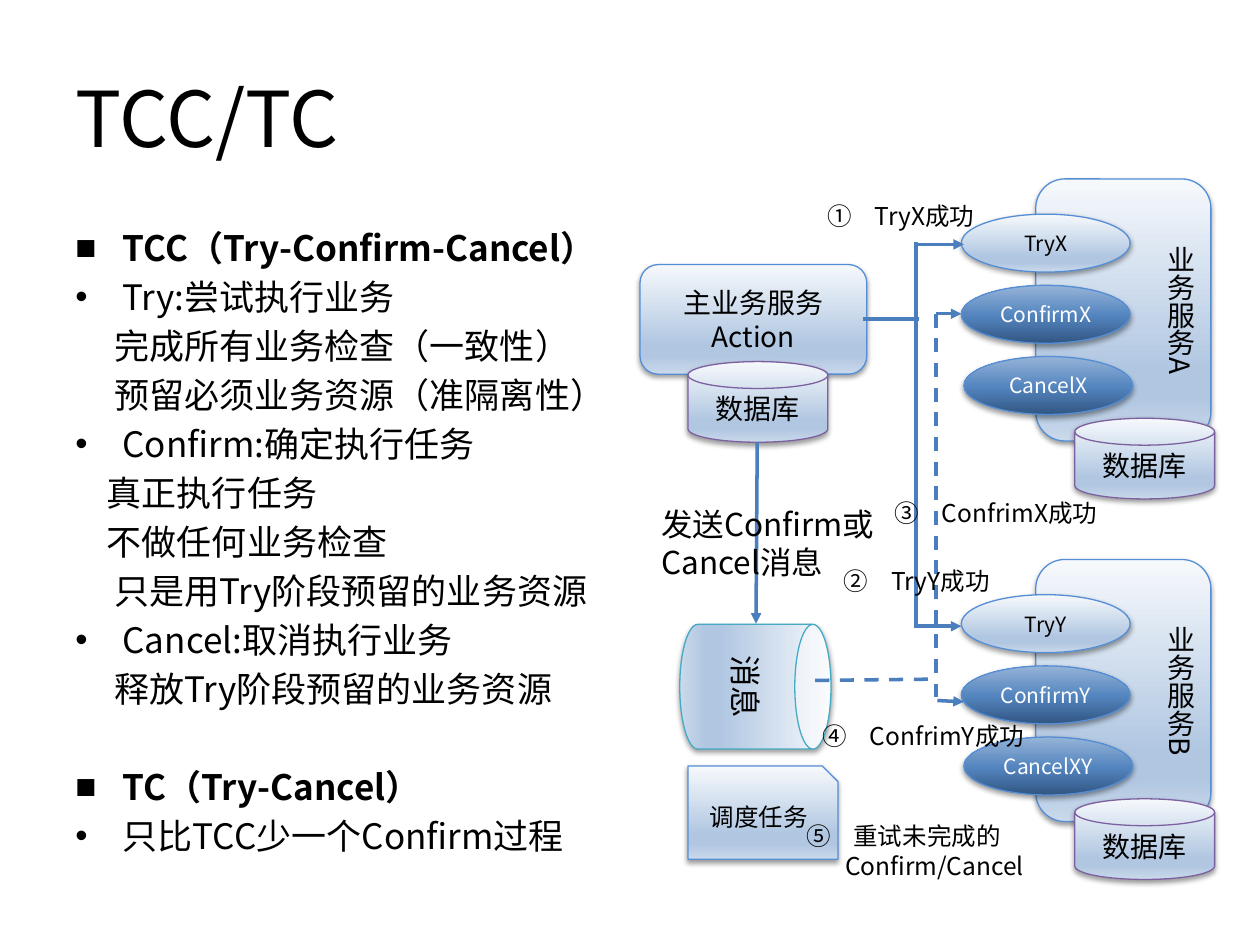
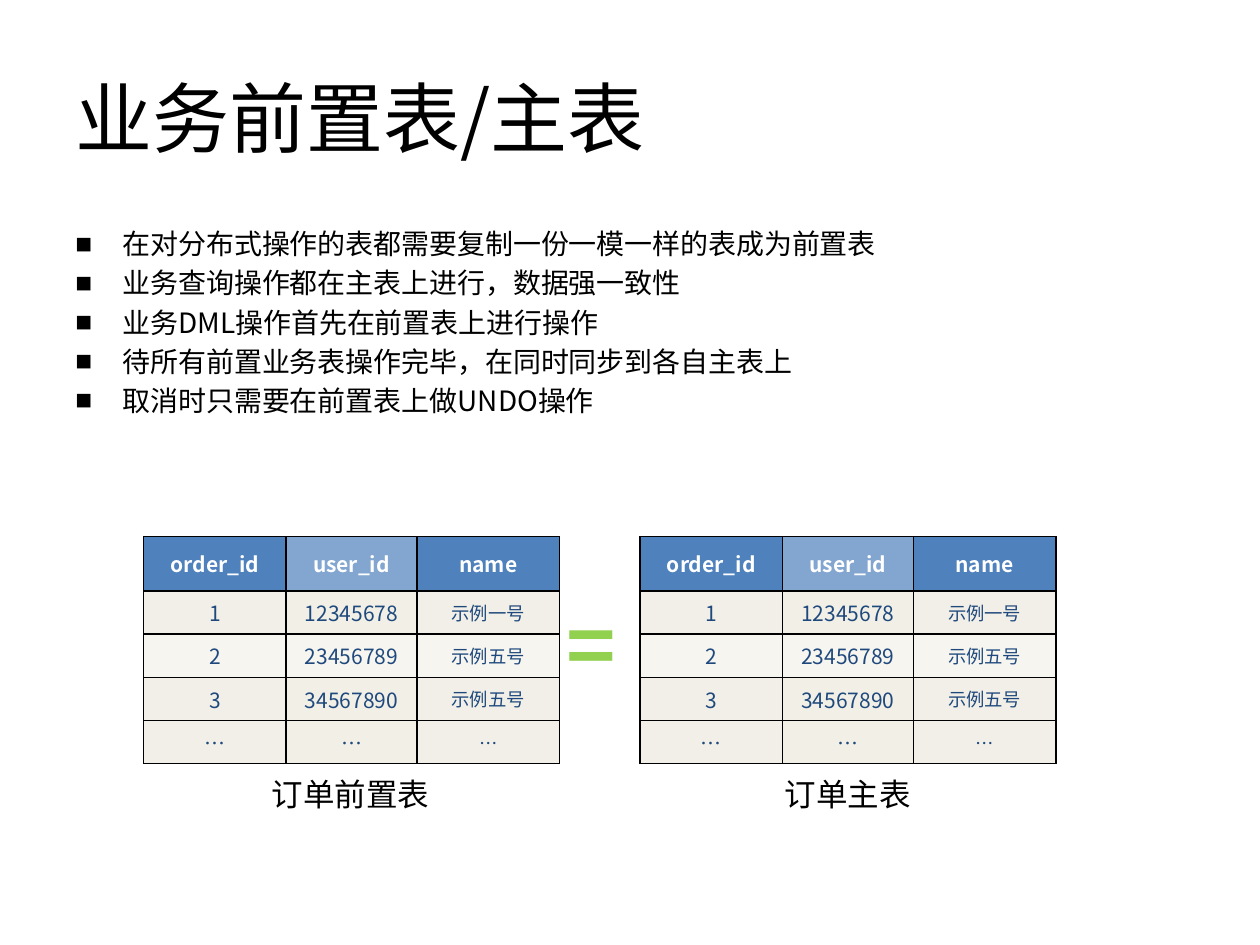
from pptx import Presentation
from pptx.dml.color import RGBColor
from pptx.enum.dml import MSO_LINE
from pptx.enum.shapes import MSO_CONNECTOR, MSO_SHAPE
from pptx.enum.text import MSO_ANCHOR, PP_ALIGN
from pptx.oxml import parse_xml
from pptx.oxml.ns import nsdecls, qn
from pptx.util import Inches, Pt

CENTER = PP_ALIGN.CENTER
MIDDLE = MSO_ANCHOR.MIDDLE
ROUNDED = MSO_SHAPE.ROUNDED_RECTANGLE
ELLIPSE = MSO_SHAPE.OVAL
DISK = MSO_SHAPE.FLOWCHART_MAGNETIC_DISK
CAN = MSO_SHAPE.CAN
SNIPPED = MSO_SHAPE.SNIP_1_RECTANGLE

FONT = "Noto Sans CJK SC"
BLACK, WHITE, NAVY, GREEN = "000000", "FFFFFF", "1F497D", "92D050"
BLUE, PURPLE, TEAL, CONNECTOR_BLUE = "558ED5", "7D60A0", "46AAC5", "4B7EBC"
HEADER_BLUE, CREAM = "4F81BD", "EEECE1"
LIGHT = (90, [(0, "F6F9FC"), (74, "B0C6E1"), (83, "B0C6E1"), (100, "CAD9EB")])
DARK = (270, [(0, "315683"), (48, "5485BF"), (100, "95B3D7")])

COLUMNS = 100
HANGING = 3.75  # columns between a bullet and its text
SQUARE, DOT = "■", "•"

TCC_LINES = [  # text, bullet, left indent in columns
    ("TCC（Try-Confirm-Cancel）", SQUARE, HANGING),
    ("Try:尝试执行业务", DOT, HANGING),
    ("完成所有业务检查（一致性）", None, 3.1),
    ("预留必须业务资源（准隔离性）", None, 3.1),
    ("Confirm:确定执行任务", DOT, HANGING),
    ("真正执行任务", None, 2.5),
    ("不做任何业务检查", None, 2.5),
    ("只是用Try阶段预留的业务资源", None, 3.1),
    ("Cancel:取消执行业务", DOT, HANGING),
    ("释放Try阶段预留的业务资源", None, 3.1),
    ("TC（Try-Cancel）", SQUARE, HANGING),
    ("只比TCC少一个Confirm过程", DOT, HANGING),
]
TABLE_RULES = [
    "在对分布式操作的表都需要复制一份一模一样的表成为前置表",
    "业务查询操作都在主表上进行，数据强一致性",
    "业务DML操作首先在前置表上进行操作",
    "待所有前置业务表操作完毕，在同时同步到各自主表上",
    "取消时只需要在前置表上做UNDO操作",
]
ORDERS = [
    ("order_id", "user_id", "name"),
    ("1", "12345678", "示例一号"),
    ("2", "23456789", "示例五号"),
    ("3", "34567890", "示例五号"),
    ("…", "…", "…"),
]
STEPS = [  # left, top, width, text
    (64.7, 15.5, 13.8, "TryX成功"),
    (66, 44.4, 13.7, "TryY成功"),
    (70, 39, 18.8, "ConfrimX成功"),
    (64.3, 56.7, 18.8, "ConfrimY成功"),
    (63, 64.7, 20.7, "重试未完成的"),
]
SOLID_LINES = [((68.5, 25.3), (72.9, 25.3)), ((72.7, 19.2), (72.7, 49.7))]
ARROWS = [
    ((72.7, 19.4), (76.5, 19.4)),
    ((72.5, 49.7), (76.3, 49.7)),
    ((60.1, 35.1), (60, 49.5)),
    ((74.3, 24.9), (76.3, 24.9)),
    ((74.4, 55.6), (76.5, 55.7)),
]
DASHED_LINES = [((64.7, 54), (74.3, 53.9)), ((74.3, 24.9), (74.3, 55.3))]


def grid(*cells):
    """Turn counts of square grid cells, 100 across the slide, into lengths."""
    return [Inches(10 * cell / COLUMNS) for cell in cells]


def rgb(color):
    return RGBColor.from_string(color)


def add_xml(parent, tag, attributes="", inner=""):
    element = parse_xml(f'<a:{tag} {nsdecls("a")} {attributes}>{inner}</a:{tag}>')
    parent.append(element)
    return element


def write(paragraph, text, size, color=BLACK, bold=False, align=None):
    paragraph.add_run().text = text
    paragraph.alignment = align
    font = paragraph.font
    font.size, font.bold, font.name = Pt(size), bold, FONT
    font.color.rgb = rgb(color)
    properties = paragraph._p.pPr.find(qn("a:defRPr"))
    add_xml(properties, "ea", f'typeface="{FONT}"')


def indent(paragraph, left, hanging=0):
    properties = paragraph._p.get_or_add_pPr()
    left, first = grid(left, -hanging)
    properties.set("marL", str(left))
    properties.set("indent", str(first))
    return properties


def add_bullet(paragraph, character):
    properties = indent(paragraph, HANGING, HANGING)
    add_xml(properties, "buFont", 'typeface="Arial"')
    add_xml(properties, "buChar", f'char="{character}"')


def add_text_frame(slide, *box):
    frame = slide.shapes.add_textbox(*grid(*box)).text_frame
    frame.word_wrap = True
    return frame


def add_label(slide, box, text, size, **style):
    frame = add_text_frame(slide, *box)
    write(frame.paragraphs[0], text, size, **style)
    return frame


def next_paragraph(frame, index):
    return frame.paragraphs[0] if index == 0 else frame.add_paragraph()


def add_title(slide, text):
    add_label(slide, (5, 3, 90, 12.5), text, 44).vertical_anchor = MIDDLE


def add_body(slide, width, height, lines, size):
    frame = add_text_frame(slide, 5, 17.5, width, height)
    for index, (text, bullet, left) in enumerate(lines):
        paragraph = next_paragraph(frame, index)
        if bullet:
            add_bullet(paragraph, bullet)
        else:
            indent(paragraph, left)
        paragraph.space_before = Pt(size * 0.2)
        write(paragraph, text, size)
    return frame


def add_node(slide, kind, box, text="", size=16, line=BLUE, gradient=LIGHT):
    """Add a shape with a gradient fill, a thin outline and a soft shadow."""
    shape = slide.shapes.add_shape(kind, *grid(*box))
    properties = shape.element.spPr
    angle, stops = gradient
    stop_list = "".join(
        f'<a:gs pos="{position * 1000}"><a:srgbClr val="{color}"/></a:gs>'
        for position, color in stops
    )
    add_xml(properties, "gradFill", 'rotWithShape="1"',
            f'<a:gsLst>{stop_list}</a:gsLst><a:lin ang="{angle * 60000}" scaled="0"/>')
    shape.line.color.rgb = rgb(line)
    shape.line.width = Pt(0.75)
    shape.shadow.inherit = False
    add_xml(properties.find(qn("a:effectLst")), "outerShdw",
            f'blurRad="{Pt(3.1)}" dist="{Pt(1.6)}" dir="5400000" rotWithShape="0"',
            f'<a:srgbClr val="{BLACK}"><a:alpha val="38000"/></a:srgbClr>')
    shape.text_frame.vertical_anchor = MIDDLE
    if text:
        color = WHITE if gradient is DARK else BLACK
        write(shape.text_frame.paragraphs[0], text, size, color, align=CENTER)
    return shape


def add_database(slide, left, top):
    add_node(slide, DISK, (left, top, 11.1, 6.4), "数据库", line=PURPLE)


def add_service(slide, top, name, operations):
    add_node(slide, ROUNDED, (82.2, top, 13.9, 20.8))
    lefts = (76.3, 76.3, 76.5)
    gradients = (LIGHT, DARK, DARK)
    for row, (left, text, gradient) in enumerate(zip(lefts, operations, gradients)):
        box = (left, top + 2.8 + 5.65 * row, 13.4, 4.6)
        add_node(slide, ELLIPSE, box, text, 12, gradient=gradient)
    frame = add_label(slide, (90.8, top + 4.3, 4.7, 14.9), name, 16)
    frame._txBody.bodyPr.set("vert", "eaVert")
    add_database(slide, 85.3, top + 19)


def add_line(slide, start, end, dashed=False, arrow=False):
    connector = slide.shapes.add_connector(
        MSO_CONNECTOR.STRAIGHT, *grid(*start), *grid(*end))
    connector.line.color.rgb = rgb(CONNECTOR_BLUE)
    connector.line.width = Pt(2)
    if dashed:
        connector.line.dash_style = MSO_LINE.DASH
    properties = connector.element.spPr
    if arrow:
        add_xml(properties.find(qn("a:ln")), "tailEnd", 'type="triangle"')
    add_xml(properties, "effectLst")


def add_step(slide, number, left, top, width, text):
    frame = add_text_frame(slide, left, top, width, 3.4)
    paragraph = frame.paragraphs[0]
    properties = indent(paragraph, HANGING, HANGING)
    add_xml(properties, "buAutoNum", f'type="circleNumDbPlain" startAt="{number}"')
    write(paragraph, text, 14)
    return frame


def style_cell(cell, fill, opacity):
    cell.fill.solid()
    cell.fill.fore_color.rgb = rgb(fill)
    properties = cell._tc.tcPr
    color = properties.find(qn("a:solidFill")).find(qn("a:srgbClr"))
    add_xml(color, "alpha", f'val="{opacity * 1000}"')
    for position, side in enumerate(("lnL", "lnR", "lnT", "lnB")):
        border = add_xml(properties, side, f'w="{Pt(1)}"',
                         f'<a:solidFill><a:srgbClr val="{BLACK}"/></a:solidFill>')
        properties.insert(position, border)


def add_order_table(slide, left):
    widths, heights = (11.3, 10.4, 11.3), (4.3, 3.43, 3.43, 3.43, 3.43)
    box = grid(left, 42.6, sum(widths), sum(heights))
    table = slide.shapes.add_table(len(heights), len(widths), *box).table
    for column, width in zip(table.columns, grid(*widths)):
        column.width = width
    for row, height in zip(table.rows, grid(*heights)):
        row.height = height
    for r, values in enumerate(ORDERS):
        for c, value in enumerate(values):
            cell = table.cell(r, c)
            header, middle = r == 0, c == 1
            if header:
                style_cell(cell, HEADER_BLUE, 70 if middle else 100)
            else:
                style_cell(cell, CREAM, (48 if r == 2 else 80) + 2 * middle)
            cell.vertical_anchor = MIDDLE
            size = 10.5 if c == 2 and not header else 12
            write(cell.text_frame.paragraphs[0], value, size,
                  WHITE if header else NAVY, header, CENTER)


def build_tcc_slide(slide):
    add_title(slide, "TCC/TC")
    body = add_body(slide, 46.6, 55.4, TCC_LINES, 20)
    for paragraph, (_, bullet, _) in zip(body.paragraphs, TCC_LINES):
        paragraph.font.bold = bullet == SQUARE
    body.paragraphs[-2].space_before = Pt(32)

    add_node(slide, ROUNDED, (50.8, 21, 18, 8.7), "主业务服务Action")
    add_database(slide, 54.6, 28.7)
    add_service(slide, 14.2, "业务服务A", ("TryX", "ConfirmX", "CancelX"))
    add_service(slide, 44.4, "业务服务B", ("TryY", "ConfirmY", "CancelXY"))
    queue = add_node(slide, CAN, (55, 48.5, 9.9, 12), "消息", 18, TEAL)
    queue.rotation = 90
    queue.adjustments[0] = 0.29
    add_node(slide, SNIPPED, (54.6, 60.8, 11.9, 7.4), "调度任务", 14)

    for start, end in SOLID_LINES:
        add_line(slide, start, end)
    for start, end in ARROWS:
        add_line(slide, start, end, arrow=True)
    for start, end in DASHED_LINES:
        add_line(slide, start, end, dashed=True)

    message = add_label(slide, (51.5, 39.6, 19.3, 7.1), "发送Confirm或", 18)
    write(message.add_paragraph(), "Cancel消息", 18)
    for number, step in enumerate(STEPS, start=1):
        frame = add_step(slide, number, *step)
    retry = frame.add_paragraph()
    indent(retry, 3.1)
    write(retry, "Confirm/Cancel", 14)


def build_tables_slide(slide):
    add_title(slide, "业务前置表/主表")
    add_body(slide, 90, 19.9, [(rule, SQUARE, HANGING) for rule in TABLE_RULES], 16)
    for left in (11.4, 50.8):
        add_order_table(slide, left)
    add_label(slide, (20.6, 61, 15, 4), "订单前置表", 18)
    add_label(slide, (61.3, 61, 12.5, 4), "订单主表", 18)
    add_label(slide, (44, 46.6, 7.1, 9.1), "=", 48, color=GREEN, bold=True)


def main():
    presentation = Presentation()
    presentation.slide_width, presentation.slide_height = Inches(10), Inches(7.5)
    blank = presentation.slide_layouts[6]
    for build in (build_tcc_slide, build_tables_slide):
        build(presentation.slides.add_slide(blank))
    presentation.save("out.pptx")


if __name__ == "__main__":
    main()
